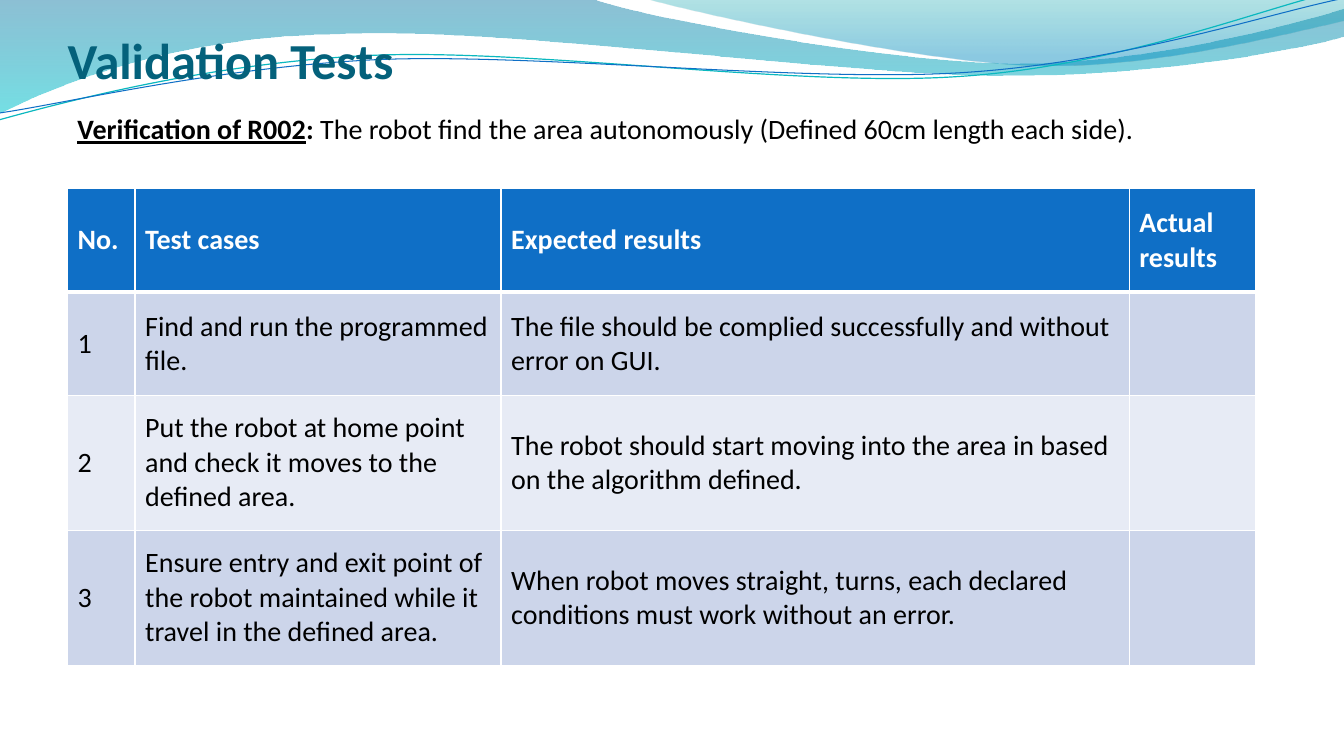
from math import cos, radians, sin

from lxml.etree import SubElement
from pptx import Presentation
from pptx.dml.color import RGBColor
from pptx.enum.text import MSO_ANCHOR, MSO_AUTO_SIZE, PP_ALIGN
from pptx.oxml.ns import qn
from pptx.util import Inches, Pt

FONT = "Calibri"
BLACK = RGBColor(0x00, 0x00, 0x00)
WHITE = RGBColor(0xFF, 0xFF, 0xFF)
TITLE_TEAL = RGBColor(0x04, 0x61, 0x7B)
BLUE = RGBColor(0x0F, 0x6F, 0xC6)
CYAN = RGBColor(0x0A, 0xB8, 0xBF)
BAND_DARK = RGBColor(0xCC, 0xD5, 0xEA)
BAND_LIGHT = RGBColor(0xE7, 0xEB, 0xF5)
WAVE_BLUE = RGBColor(0x00, 0x74, 0xA1)
WAVE_CYAN = RGBColor(0x00, 0xC6, 0xCF)
CREST_TEAL = RGBColor(0x00, 0xA1, 0xA9)
CREST_BLUE = RGBColor(0x00, 0x8B, 0xBF)

RIPPLE_TILT = -2.7
RIPPLE_CENTER = (6.66, 0.58)

LEFT_WAVE = [
    (0, 0), (5.87, -0.01),
    (6.34, 0.17, 8.85, 0.63, 10.11, 0.63), (11.38, 0.63, 12.78, 0.26, 13.33, 0.09),
    (13.35, 0.36),
    (13.11, 0.44, 11.6, 0.76, 9.94, 0.75), (8.29, 0.75, 5.09, 0.28, 3.43, 0.34),
    (1.72, 0.36, 0.61, 0.83, -0.01, 1.13), (0, 0),
]
RIGHT_CREST = [
    (6.39, -0.01),
    (6.79, 0.11, 9.09, 0.62, 10.25, 0.65), (11.41, 0.69, 12.82, 0.32, 13.33, 0.21),
    (13.33, 0), (6.39, -0.01),
]
CYAN_LINE = [
    (-0.01, 1.19),
    (0.64, 1.01, 2.11, 0.62, 3.69, 0.55), (5.27, 0.48, 7.9, 0.87, 9.5, 0.76),
    (11.1, 0.66, 12.52, 0.08, 13.31, -0.1),
]
BLUE_LINE = [
    (0, 1.12),
    (0.63, 1.03, 2.18, 0.66, 3.78, 0.59), (5.37, 0.53, 7.96, 0.82, 9.55, 0.72),
    (11.15, 0.62, 12.55, 0.14, 13.34, -0.02),
]

COLUMN_WIDTHS = [0.67, 3.63, 6.23, 1.25]
ROW_HEIGHTS = [1.03, 1.02, 1.34, 1.34]
TEST_ROWS = [
    ["No.", "Test cases", "Expected results", "Actual results"],
    ["1", "Find and run the programmed file.",
     "The file should be complied successfully and without error on GUI.", ""],
    ["2", "Put the robot at home point and check it moves to the defined area.",
     "The robot should start moving into the area in based on the algorithm defined.", ""],
    ["3", "Ensure entry and exit point of the robot maintained while it travel in the defined area.",
     "When robot moves straight, turns, each declared conditions must work without an error.", ""],
]


def turn(point, angle):
    """Turn a point about the centre of the ripples."""
    dx, dy = point[0] - RIPPLE_CENTER[0], point[1] - RIPPLE_CENTER[1]
    c, s = cos(radians(angle)), sin(radians(angle))
    return RIPPLE_CENTER[0] + dx * c - dy * s, RIPPLE_CENTER[1] + dx * s + dy * c


class SlideBuilder:
    """Draws styled elements on the current slide."""

    def __init__(self, page):
        self.page = page

    def style(self, font, size, color, bold=False):
        """Apply the slide's typeface with a size, colour and weight."""
        font.name = FONT
        font.size = Pt(size)
        font.color.rgb = color
        font.bold = bold

    def curve(self, outline, close, tilt=0):
        """Add a freeform of straight and cubic segments."""
        points = [turn(pair, -tilt) for part in outline for pair in zip(part[::2], part[1::2])]
        points = [(Inches(x), Inches(y)) for x, y in points]
        builder = self.page.shapes.build_freeform(*points[0])
        builder.add_line_segments(points[1:], close=close)
        shape = builder.convert_to_shape()
        shape.shadow.inherit = False
        shape.rotation = tilt
        lines = iter(list(shape.element.iter(qn("a:lnTo"))))
        for part in outline[1:]:
            line = next(lines)
            if len(part) == 6:
                line.addprevious(line.makeelement(qn("a:cubicBezTo")))
                cubic = line.getprevious()
                for corner in (line, next(lines), next(lines)):
                    cubic.append(corner[0])
                    corner.getparent().remove(corner)
        return shape

    def wave(self, outline, stops):
        """Add a closed wave with a translucent vertical gradient."""
        shape = self.curve(outline, True)
        shape.line.fill.background()
        shape.fill.gradient()
        shape.fill.gradient_angle = 270
        for stop, (position, color, _) in zip(shape.fill.gradient_stops, stops):
            stop.position = position
            stop.color.rgb = color
        for element, (_, _, opacity) in zip(shape.element.iter(qn("a:srgbClr")), stops):
            SubElement(element, qn("a:alpha"), val=str(opacity * 1000))

    def ripple(self, outline, color, width):
        """Add an open curved line."""
        shape = self.curve(outline, False, RIPPLE_TILT)
        shape.fill.background()
        shape.line.color.rgb = color
        shape.line.width = Pt(width)

    def title(self, text):
        """Fill the title placeholder and bring it in front of the waves."""
        box = self.page.shapes.title
        box.left, box.top, box.width, box.height = map(Inches, (0.67, 0.22, 12, 0.67))
        frame = box.text_frame
        frame.text = text
        frame.auto_size = MSO_AUTO_SIZE.NONE
        frame.vertical_anchor = MSO_ANCHOR.BOTTOM
        frame.margin_left = frame.margin_right = frame.margin_bottom = 0
        frame.margin_top = Inches(0.05)
        para = frame.paragraphs[0]
        para.alignment = PP_ALIGN.LEFT
        self.style(para.runs[0].font, 36, TITLE_TEAL, True)
        box.element.getparent().append(box.element)

    def requirement(self, label, text):
        """Add the requirement line with an underlined label."""
        box = self.page.shapes.add_textbox(*map(Inches, (0.67, 1.06, 12.42, 0.44)))
        box.text_frame.word_wrap = True
        box.text_frame.auto_size = MSO_AUTO_SIZE.SHAPE_TO_FIT_TEXT
        para = box.text_frame.paragraphs[0]
        for words, bold, underline in ((label, True, True), (": ", True, False), (text, False, False)):
            span = para.add_run()
            span.text = words
            self.style(span.font, 20, BLACK, bold)
            span.font.underline = underline

    def border(self, cell, sides):
        """Draw white borders, given a width for each side."""
        properties = cell._tc.get_or_add_tcPr()
        for side, width in sides.items():
            line = SubElement(properties, qn(f"a:ln{side}"), w=str(Pt(width)))
            fill = SubElement(line, qn("a:solidFill"))
            SubElement(fill, qn("a:srgbClr"), val=str(WHITE))

    def table(self, rows):
        """Add the banded table of tests."""
        table = self.page.shapes.add_table(
            len(rows), len(COLUMN_WIDTHS), Inches(0.67), Inches(1.87),
            Inches(sum(COLUMN_WIDTHS)), Inches(sum(ROW_HEIGHTS))).table
        for column, width in zip(table.columns, COLUMN_WIDTHS):
            column.width = Inches(width)
        for row, height in zip(table.rows, ROW_HEIGHTS):
            row.height = Inches(height)
        for r, texts in enumerate(rows):
            header = r == 0
            color = BLUE if header else BAND_DARK if r % 2 else BAND_LIGHT
            for c, text in enumerate(texts):
                cell = table.cell(r, c)
                self.border(cell, {"L": 1, "R": 1, "T": 3 if r == 1 else 1, "B": 3 if header else 1})
                cell.fill.solid()
                cell.fill.fore_color.rgb = color
                cell.vertical_anchor = MSO_ANCHOR.MIDDLE
                para = cell.text_frame.paragraphs[0]
                para.text = text
                for span in para.runs:
                    self.style(span.font, 20, WHITE if header else BLACK, header)


def main():
    """Build and save the validation tests slide."""
    deck = Presentation()
    deck.slide_width, deck.slide_height = Inches(13.33), Inches(7.5)
    slide = SlideBuilder(deck.slides.add_slide(deck.slide_layouts[5]))
    slide.wave(LEFT_WAVE, [(0, WAVE_BLUE, 45), (1, WAVE_CYAN, 55)])
    slide.wave(RIGHT_CREST, [(0, CREST_TEAL, 30), (0.8, CREST_BLUE, 45)])
    slide.ripple(CYAN_LINE, CYAN, 0.85)
    slide.ripple(BLUE_LINE, BLUE, 0.75)
    slide.title("Validation Tests")
    slide.requirement("Verification of R002",
                      "The robot find the area autonomously (Defined 60cm length each side).")
    slide.table(TEST_ROWS)
    deck.save("out.pptx")


if __name__ == "__main__":
    main()
